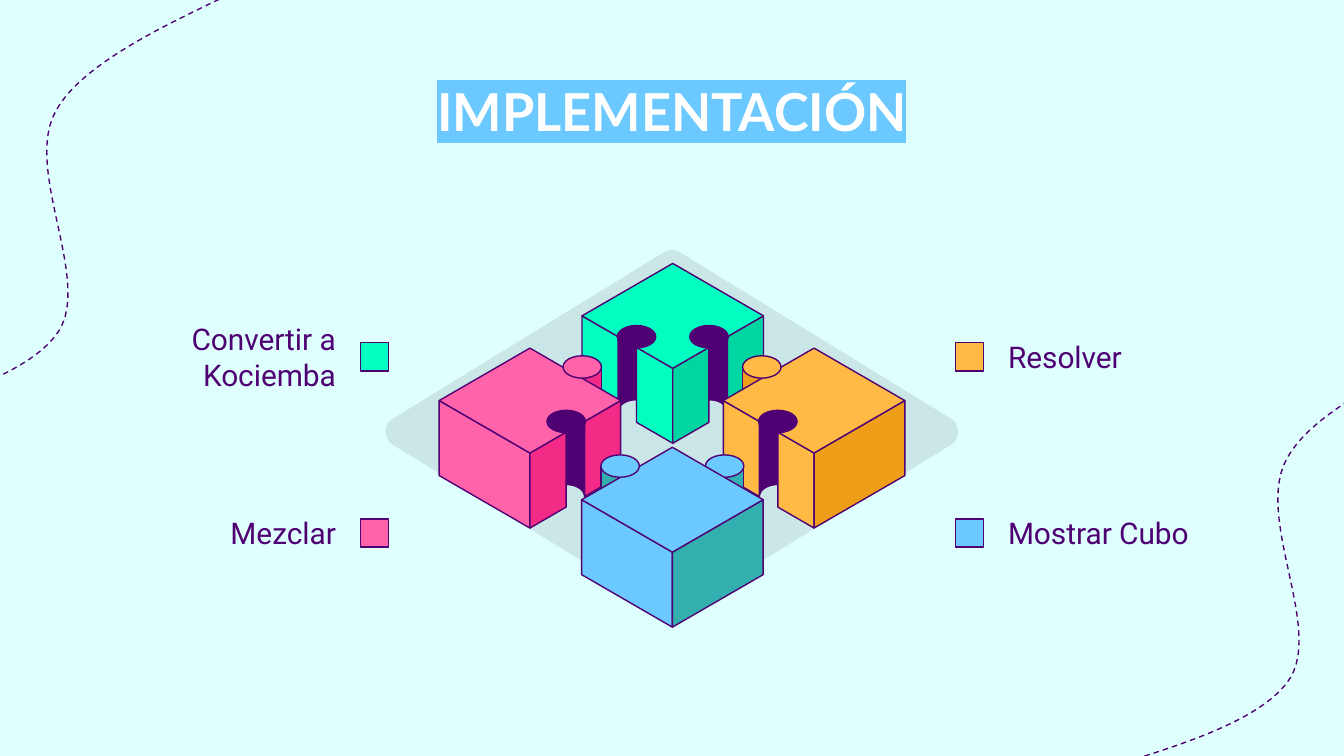
from dataclasses import dataclass

from lxml import etree
from pptx import Presentation
from pptx.dml.color import RGBColor
from pptx.enum import dml, shapes, text
from pptx.oxml import ns
from pptx.util import Pt

PURPLE = "4F0073"
GREEN, PINK, ORANGE, BLUE = "00FFC1", "FF64AB", "FFBA46", "6BC9FF"
HALF_WIDTH, HALF_HEIGHT, DEPTH = 48.6, 28.1, 40.2
OVAL_WIDTH, OVAL_HEIGHT = 20.6, 12
SLIDE_WIDTH, SLIDE_HEIGHT = 720, 405

Point = tuple[float, float]
Path = list[tuple[float, ...]]


@dataclass
class Pin:
    side: int
    behind: bool = False


@dataclass
class Block:
    x: float
    y: float
    color: str
    left_color: str
    right_color: str
    notches: tuple[int, ...] = ()
    pins: tuple[Pin, ...] = ()


@dataclass
class Label:
    caption: str
    color: str
    text_left: float
    swatch_left: float
    top: float
    alignment: text.PP_ALIGN


BLOCKS = [
    Block(360.4, 141.1, GREEN, GREEN, "00D6A2", notches=(-1, 1)),
    Block(436.1, 186.5, ORANGE, ORANGE, "EE9E18", notches=(-1,), pins=(Pin(-1),)),
    Block(283.9, 186.5, PINK, PINK, "F32B86", notches=(1,), pins=(Pin(1),)),
    Block(360.2, 239.6, BLUE, BLUE, "33AFAF", pins=(Pin(1, behind=True), Pin(-1))),
]
LABELS = [
    Label("Convertir a Kociemba", GREEN, 54, 193, 163.4, text.PP_ALIGN.RIGHT),
    Label("Mezclar", PINK, 54, 193, 257.8, text.PP_ALIGN.RIGHT),
    Label("Resolver", ORANGE, 532.8, 511.9, 163.4, text.PP_ALIGN.LEFT),
    Label("Mostrar Cubo", BLUE, 532.8, 511.9, 257.8, text.PP_ALIGN.LEFT),
]
NOTCH_ARC = (-29.3, 76, -25, 73, -19.4, 73)
WAVE = [(-75.6, 229), (-57.6, 220.3, 13.7, 205.9, 31.7, 177.1),
        (49, 149, 12.2, 90, 30.2, 59), (47.5, 27.4, 118.1, 1.4, 136.1, -10.1)]
BASE_HALF = [(360, 133.9), (358.7, 133.9, 357.5, 134.2, 356.3, 134.8),
             (210, 224.6), (205.6, 227.6, 205.6, 235, 210, 238),
             (356.3, 327.8), (357.5, 328.3, 358.7, 328.6, 360, 328.6)]


def rgb(color: str) -> RGBColor:
    return RGBColor.from_string(color)


def flatten(path: Path, steps: int = 24) -> list[Point]:
    points: list[Point] = []
    for segment in path:
        if len(segment) == 2:
            points.append(segment)
            continue
        x0, y0 = points[-1]
        x1, y1, x2, y2, x3, y3 = segment
        for step in range(1, steps + 1):
            t = step / steps
            a, b, c, d = (1 - t) ** 3, 3 * t * (1 - t) ** 2, 3 * t * t * (1 - t), t ** 3
            points.append((a * x0 + b * x1 + c * x2 + d * x3,
                           a * y0 + b * y1 + c * y2 + d * y3))
    return points


def paint(shape, color: str) -> None:
    shape.shadow.inherit = False
    shape.fill.solid()
    shape.fill.fore_color.rgb = rgb(color)
    shape.line.color.rgb = rgb(PURPLE)
    shape.line.width = Pt(0.75)


def draw_outline(slide, points: list[Point], color: str, closed: bool = True):
    corners = [(Pt(x), Pt(y)) for x, y in points]
    builder = slide.shapes.build_freeform(*corners[0])
    builder.add_line_segments(corners[1:], close=closed)
    shape = builder.convert_to_shape()
    paint(shape, color)
    return shape


def draw_preset(slide, kind, left: float, top: float, width: float, height: float, color: str) -> None:
    paint(slide.shapes.add_shape(kind, Pt(left), Pt(top), Pt(width), Pt(height)), color)


def draw_oval(slide, x: float, y: float, color: str) -> None:
    draw_preset(slide, shapes.MSO_SHAPE.OVAL, x - OVAL_WIDTH / 2, y - OVAL_HEIGHT / 2,
                OVAL_WIDTH, OVAL_HEIGHT, color)


def draw_side(slide, block: Block, side: int, path: Path, color: str) -> None:
    points = [(block.x - side * x, block.y + y) for x, y in flatten(path)]
    draw_outline(slide, points, color)


def draw_caps(slide, block: Block, behind: bool) -> None:
    for pin in block.pins:
        if pin.behind == behind:
            draw_oval(slide, block.x + pin.side * 28, block.y + 10.1, block.color)


def draw_block(slide, block: Block) -> None:
    for pin in block.pins:
        center = block.x + pin.side * 31.6
        draw_preset(slide, shapes.MSO_SHAPE.RECTANGLE, center - 6.7, block.y + 10.1,
                    13.4, 16.4, block.right_color)
    draw_caps(slide, block, behind=True)
    for side, color in ((-1, block.left_color), (1, block.right_color)):
        notch = [(-29.3, 79.5), NOTCH_ARC, (-19.4, 85.2)] if side in block.notches else []
        face = [(-HALF_WIDTH, HALF_HEIGHT), (-HALF_WIDTH, HALF_HEIGHT + DEPTH), *notch,
                (0, 2 * HALF_HEIGHT + DEPTH), (0, 2 * HALF_HEIGHT)]
        draw_side(slide, block, side, face, color)
    top = [(0, 0), (-HALF_WIDTH, HALF_HEIGHT), (0, 2 * HALF_HEIGHT), (HALF_WIDTH, HALF_HEIGHT)]
    draw_side(slide, block, 1, top, block.color)
    for side in block.notches:
        draw_oval(slide, block.x + side * 19.4, block.y + 39.3, PURPLE)
        shaft = [(-29.3, 39.3), (-29.3, 79.5), NOTCH_ARC, (-19.4, 45.2)]
        draw_side(slide, block, side, shaft, PURPLE)
    draw_caps(slide, block, behind=False)


def draw_wave(slide, dx: float, dy: float) -> None:
    points = [(x + dx, y + dy) for x, y in flatten(WAVE)]
    shape = draw_outline(slide, points, PURPLE, closed=False)
    shape.fill.background()
    shape.line.dash_style = dml.MSO_LINE.DASH


def draw_base(slide) -> None:
    half = flatten(BASE_HALF)
    mirrored = [(SLIDE_WIDTH - x, y) for x, y in reversed(half)]
    shape = draw_outline(slide, half + mirrored[1:-1], "434343")
    shape.line.fill.background()
    color = shape._element.spPr.find(ns.qn("a:solidFill"))[0]
    etree.SubElement(color, ns.qn("a:alpha"), val="13000")


def fill_placeholder(placeholder, box: tuple[float, ...], caption: str, font_name: str, size: float,
                     color: str, bold: bool, alignment, anchor):
    placeholder.left, placeholder.top, placeholder.width, placeholder.height = map(Pt, box)
    frame = placeholder.text_frame
    frame.text = caption
    frame.word_wrap = True
    frame.auto_size = text.MSO_AUTO_SIZE.NONE
    frame.vertical_anchor = anchor
    frame.margin_left = frame.margin_right = frame.margin_top = frame.margin_bottom = Pt(7.2)
    paragraph = frame.paragraphs[0]
    paragraph.alignment = alignment
    paragraph.space_before = Pt(0)
    properties = paragraph._p.get_or_add_pPr()
    properties.set("marL", "0")
    properties.set("indent", "0")
    etree.SubElement(properties, ns.qn("a:buNone"))
    font = paragraph.font
    font.name, font.size, font.bold = font_name, Pt(size), bold
    font.color.rgb = rgb(color)
    return paragraph


def highlight(run, color: str) -> None:
    element = etree.SubElement(run._r.get_or_add_rPr(), ns.qn("a:highlight"))
    etree.SubElement(element, ns.qn("a:srgbClr"), val=color)


def main() -> None:
    presentation = Presentation()
    presentation.slide_width, presentation.slide_height = Pt(SLIDE_WIDTH), Pt(SLIDE_HEIGHT)
    slide = presentation.slides.add_slide(presentation.slide_layouts.get_by_name("Comparison"))
    slide.background.fill.solid()
    slide.background.fill.fore_color.rgb = rgb("DFFFFF")

    title, *bodies = slide.placeholders
    heading = fill_placeholder(title, (56.9, 35.3, 606.2, 45.4), "IMPLEMENTACIÓN", "Lato", 28, "FFFFFF",
                               True, text.PP_ALIGN.CENTER, text.MSO_ANCHOR.TOP)
    highlight(heading.runs[0], BLUE)

    draw_wave(slide, 0, 0)
    draw_wave(slide, 659.5, 186.2)
    draw_base(slide)
    for block in BLOCKS:
        draw_block(slide, block)
    for label, body in zip(LABELS, bodies):
        fill_placeholder(body, (label.text_left, label.top, 133.2, 55.4), label.caption, "Roboto", 16,
                         PURPLE, False, label.alignment, text.MSO_ANCHOR.MIDDLE)
        draw_preset(slide, shapes.MSO_SHAPE.RECTANGLE, label.swatch_left, label.top + 20.2,
                    15.1, 15.1, label.color)
    presentation.save("out.pptx")


if __name__ == "__main__":
    main()
